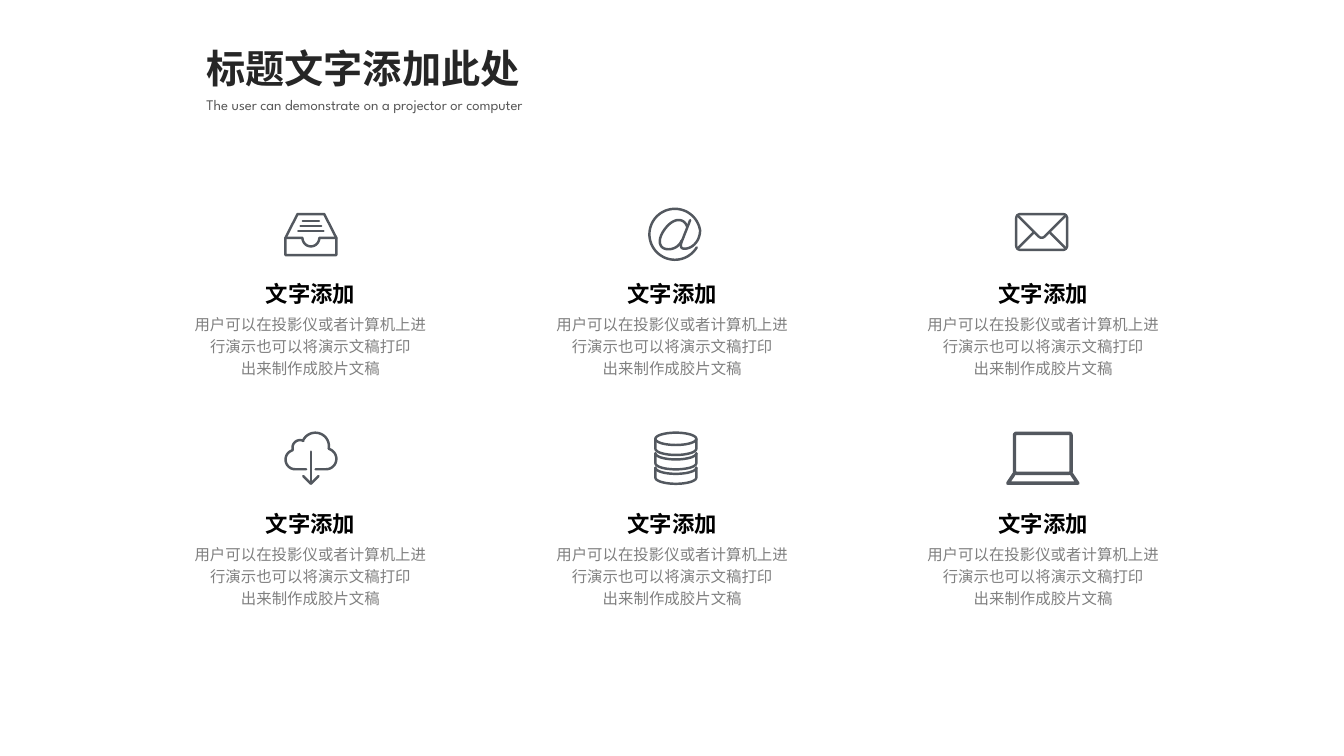
import math
import pptx
import pptx.util
import pptx.dml.color
import pptx.enum.text

Pt = pptx.util.Pt


def color(hex_value):
    return pptx.dml.color.RGBColor.from_string(hex_value)


def arc(cx, cy, rx, ry, start, end, steps=32):
    angles = [math.radians(start + (end - start) * i / steps) for i in range(steps + 1)]
    return [(cx + rx * math.cos(a), cy + ry * math.sin(a)) for a in angles]


def bezier(*controls, steps=16):
    def at(t):
        weights = [math.comb(3, i) * t**i * (1 - t) ** (3 - i) for i in range(4)]
        return tuple(sum(w * c[axis] for w, c in zip(weights, controls)) for axis in (0, 1))
    return [at(i / steps) for i in range(steps + 1)]


def rounded(left, top, right, bottom, r):
    corners = [(right - r, bottom - r), (left + r, bottom - r),
               (left + r, top + r), (right - r, top + r)]
    outline = []
    for i, (cx, cy) in enumerate(corners):
        outline += arc(cx, cy, r, r, 90 * i, 90 * i + 90, 8)
    return outline + outline[:1]


def tray():
    return [
        [(9.6, 0.9), (28.6, 0.9), (37.3, 18), (37.3, 30.2), (0.9, 30.2), (0.9, 18), (9.6, 0.9)],
        [(0.9, 18), *arc(19.1, 18, 6, 6, 180, 0), (37.3, 18)],
        *[[(19.1 - half, y), (19.1 + half, y)] for half, y in ((5.8, 5.8), (7.4, 9.4), (9, 13))],
    ]


def at_sign():
    tail = bezier((37.1, 16), (37.1, 24), (31.5, 29.4), (26, 29.4))
    stem = bezier((26, 29.4), (22.5, 29.4), (23, 26.5), (24.5, 23))
    bowl = (bezier((27.7, 13.3), (25.5, 7.5), (18.5, 6.8), (12.2, 15))
            + bezier((12.2, 15), (6, 23), (7.5, 29.8), (14.5, 29.8))
            + bezier((14.5, 29.8), (18, 29.8), (22, 28), (24, 23.5)))
    return [arc(19.1, 19.1, 18.2, 18.2, 31, 350, 64) + tail + stem + [(30, 9)], bowl]


def envelope():
    return [
        rounded(0.9, 0.9, 37.3, 26.5, 3),
        [(1.7, 1.7), *bezier((16.7, 16.7), (18.2, 18.2), (20, 18.2), (21.5, 16.7)), (36.5, 1.7)],
        [(1.7, 25.7), (13, 14.4)],
        [(36.5, 25.7), (25.2, 14.4)],
    ]


def cloud():
    return [
        [(15.8, 27), *arc(7.9, 20.1, 6.9, 6.9, 90, 252), *arc(11.3, 11.5, 5.3, 5.3, 165, 297),
         *arc(22.3, 10.6, 9.7, 9.7, 205, 370), *arc(29.9, 19.6, 7.4, 7.4, 292, 450), (22.5, 27)],
        [(19.1, 14.4), (19.1, 37.2)],
        [(13.7, 31.9), (19.1, 37.3), (24.5, 31.9)],
    ]


def database():
    strokes = [arc(15.5, 5.3, 14.6, 4.4, 180, 360)]
    for top in (5.3, 15.6, 25.9):
        strokes.append(arc(15.5, top, 14.6, 4.4, 180, 0))
        strokes.append([(0.9, top), *arc(15.5, top + 7.1, 14.6, 4.4, 180, 0), (30.1, top)])
    return strokes


def laptop():
    return [
        rounded(6.1, 1.3, 46.5, 29.9, 1.5),
        [(6.1, 29.9), (1.3, 37), (51.3, 37), (46.5, 29.9)],
    ]


class Deck:
    font = "Arial"
    icon_color = "53585F"

    def __init__(self):
        self.presentation = pptx.Presentation()
        self.presentation.slide_width = Pt(960)
        self.presentation.slide_height = Pt(540)
        self.slide = self.presentation.slides.add_slide(self.presentation.slide_layouts[6])

    def text(self, left, top, width, height, lines, size, hex_value, bold=False,
             font=None, centered=False, wrap=True):
        frame = self.slide.shapes.add_textbox(Pt(left), Pt(top), Pt(width), Pt(height)).text_frame
        frame.word_wrap = wrap
        frame.auto_size = pptx.enum.text.MSO_AUTO_SIZE.SHAPE_TO_FIT_TEXT
        frame.text = "\n".join(lines)
        for paragraph in frame.paragraphs:
            paragraph.font.size = Pt(size)
            paragraph.font.name = font or self.font
            paragraph.font.bold = bold
            paragraph.font.color.rgb = color(hex_value)
            if centered:
                paragraph.alignment = pptx.enum.text.PP_ALIGN.CENTER
                paragraph.line_spacing = 1.2

    def icon(self, left, top, strokes, weight):
        placed = [[(Pt(left + x), Pt(top + y)) for x, y in stroke] for stroke in strokes]
        builder = self.slide.shapes.build_freeform(*placed[0][0])
        for i, stroke in enumerate(placed):
            if i:
                builder.move_to(*stroke[0])
            builder.add_line_segments(stroke[1:], close=False)
        outline = builder.convert_to_shape()
        outline.shadow.inherit = False
        outline.fill.background()
        outline.line.color.rgb = color(self.icon_color)
        outline.line.width = Pt(weight)
        outline.line._get_or_add_ln().set("cap", "rnd")

    def card(self, center, top, heading, description):
        self.text(center - 93, top + 26, 186, 55.4, description, 11, "808080", centered=True)
        self.text(center - 82, top, 164, 29, [heading], 16, "000000", bold=True, centered=True)


def main():
    deck = Deck()
    icons = [
        (203, 152, tray(), 1.75), (463, 148.3, at_sign(), 1.75), (725, 152, envelope(), 1.75),
        (203, 308.2, cloud(), 1.75), (467.3, 308.2, database(), 1.75),
        (718.6, 308.2, laptop(), 2.5),
    ]
    for icon in icons:
        deck.icon(*icon)

    deck.text(140.4, 64.8, 296.6, 20.2, ["The user can demonstrate on a projector or computer"],
              10.5, "595959", font="League Spartan")
    deck.text(140.4, 28.1, 240.5, 41, ["标题文字添加此处"], 28, "262626", bold=True, wrap=False)

    description = ["用户可以在投影仪或者计算机上进行演示也可以将演示文稿打印", "出来制作成胶片文稿"]
    for center in (221.8, 480.2, 745.2):
        for top in (193, 357.1):
            deck.card(center, top, "文字添加", description)

    deck.presentation.save("out.pptx")


if __name__ == "__main__":
    main()
